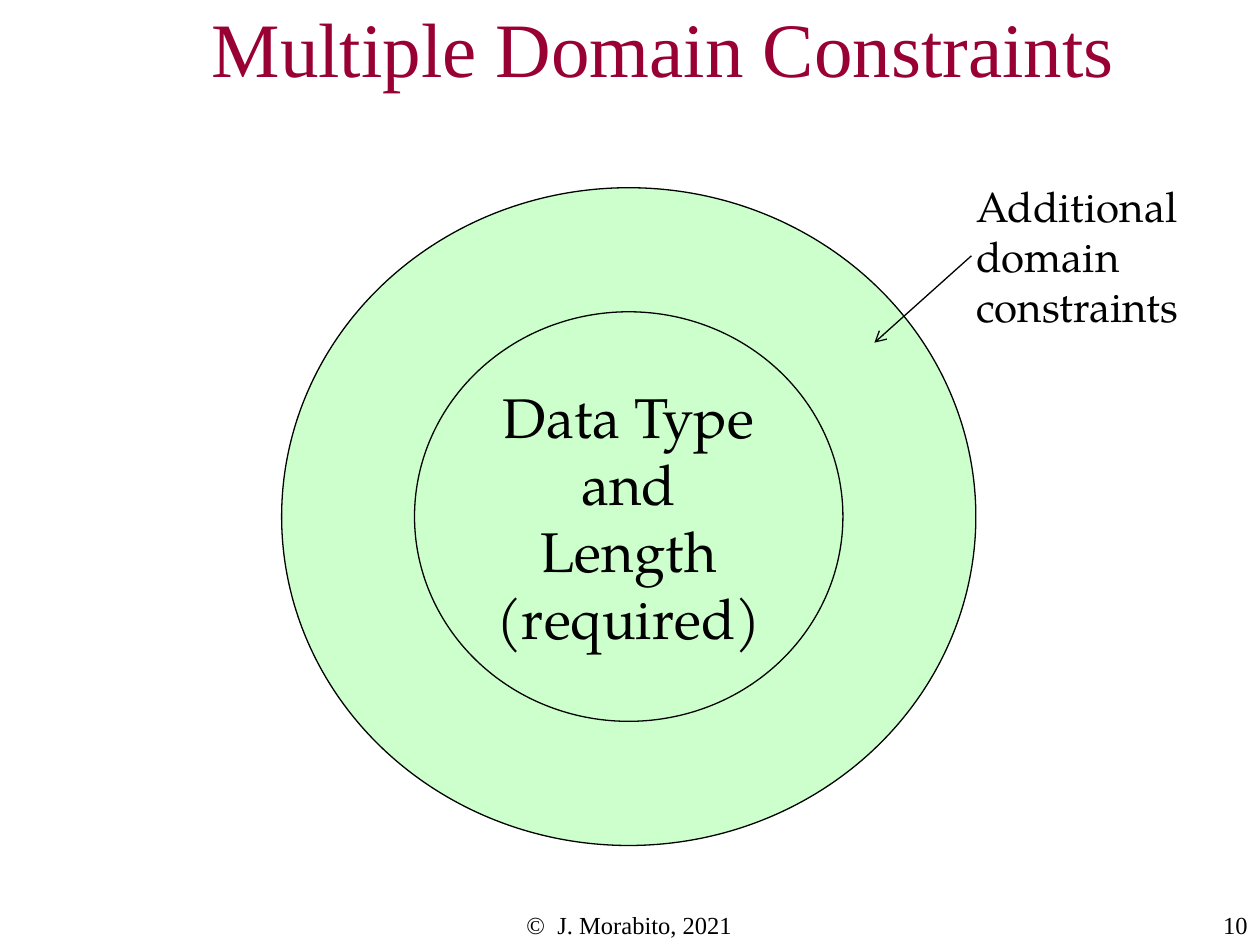
from lxml import etree
from pptx import Presentation
from pptx.dml.color import RGBColor
from pptx.enum import shapes, text
from pptx.oxml.ns import qn
from pptx.util import Inches, Pt

BLACK = RGBColor(0x00, 0x00, 0x00)
CRIMSON = RGBColor(0x99, 0x00, 0x33)
PALE_GREEN = RGBColor(0xCC, 0xFF, 0xCC)
SERIF = "Times New Roman"
BOOK = "TeX Gyre Pagella"
CENTER_X, CENTER_Y = 4.99, 4.1


def write_lines(frame, lines, font_name, size, align=text.PP_ALIGN.LEFT, color=BLACK):
    """Write one paragraph per line, all in the same format."""
    frame.text = "\n".join(lines)
    for paragraph in frame.paragraphs:
        paragraph.alignment = align
        for run in paragraph.runs:
            run.font.name = font_name
            run.font.size = Pt(size)
            run.font.color.rgb = color


def set_title(slide, wording):
    title = slide.shapes.title
    title.left, title.top = Inches(1.58), Inches(0.08)
    title.width, title.height = Inches(8.42), Inches(0.58)
    frame = title.text_frame
    write_lines(frame, [wording], SERIF, 44, color=CRIMSON)
    frame.auto_size = text.MSO_AUTO_SIZE.NONE
    frame.vertical_anchor = text.MSO_ANCHOR.MIDDLE


def add_label(slide, left, top, width, height, lines, font_name, size,
              align=text.PP_ALIGN.LEFT, wrap=True):
    label = slide.shapes.add_textbox(Inches(left), Inches(top), Inches(width), Inches(height))
    label.text_frame.word_wrap = wrap
    write_lines(label.text_frame, lines, font_name, size, align)


def add_domain(slide, width, height, lines=()):
    """Add an ellipse around the common centre, with optional text."""
    domain = slide.shapes.add_shape(
        shapes.MSO_SHAPE.OVAL,
        Inches(CENTER_X - width / 2), Inches(CENTER_Y - height / 2),
        Inches(width), Inches(height))
    domain.shadow.inherit = False
    domain.fill.solid()
    domain.fill.fore_color.rgb = PALE_GREEN
    domain.line.color.rgb = BLACK
    domain.line.width = Pt(0.75)
    if lines:
        domain.text_frame.vertical_anchor = text.MSO_ANCHOR.MIDDLE
        write_lines(domain.text_frame, lines, BOOK, 32, text.PP_ALIGN.CENTER)


def add_arrow(slide, start_x, start_y, end_x, end_y):
    arrow = slide.shapes.add_connector(
        shapes.MSO_CONNECTOR.STRAIGHT,
        Inches(start_x), Inches(start_y), Inches(end_x), Inches(end_y))
    arrow.line.color.rgb = BLACK
    arrow.line.width = Pt(0.75)
    etree.SubElement(arrow.line._get_or_add_ln(), qn("a:tailEnd"), type="arrow")
    etree.SubElement(arrow._element.spPr, qn("a:effectLst"))


def main():
    deck = Presentation()
    deck.slide_width, deck.slide_height = Inches(10), Inches(7.5)
    slide = deck.slides.add_slide(deck.slide_layouts[5])

    set_title(slide, "Multiple Domain Constraints")
    add_label(slide, 3.41, 7.17, 3.17, 0.25, ["©  J. Morabito, 2021"],
              SERIF, 14, text.PP_ALIGN.CENTER)
    add_label(slide, 8.58, 7.17, 1.42, 0.33, ["10"], SERIF, 14, text.PP_ALIGN.RIGHT)

    add_domain(slide, 5.51, 5.22)
    add_domain(slide, 3.4, 3.25, ["Data Type", "and", "Length", "(required)"])
    add_label(slide, 7.65, 1.38, 1.94, 1.3, ["Additional", "domain", "constraints"],
              BOOK, 24, wrap=False)
    add_arrow(slide, 7.71, 2.03, 6.94, 2.72)

    deck.save("out.pptx")


if __name__ == "__main__":
    main()
